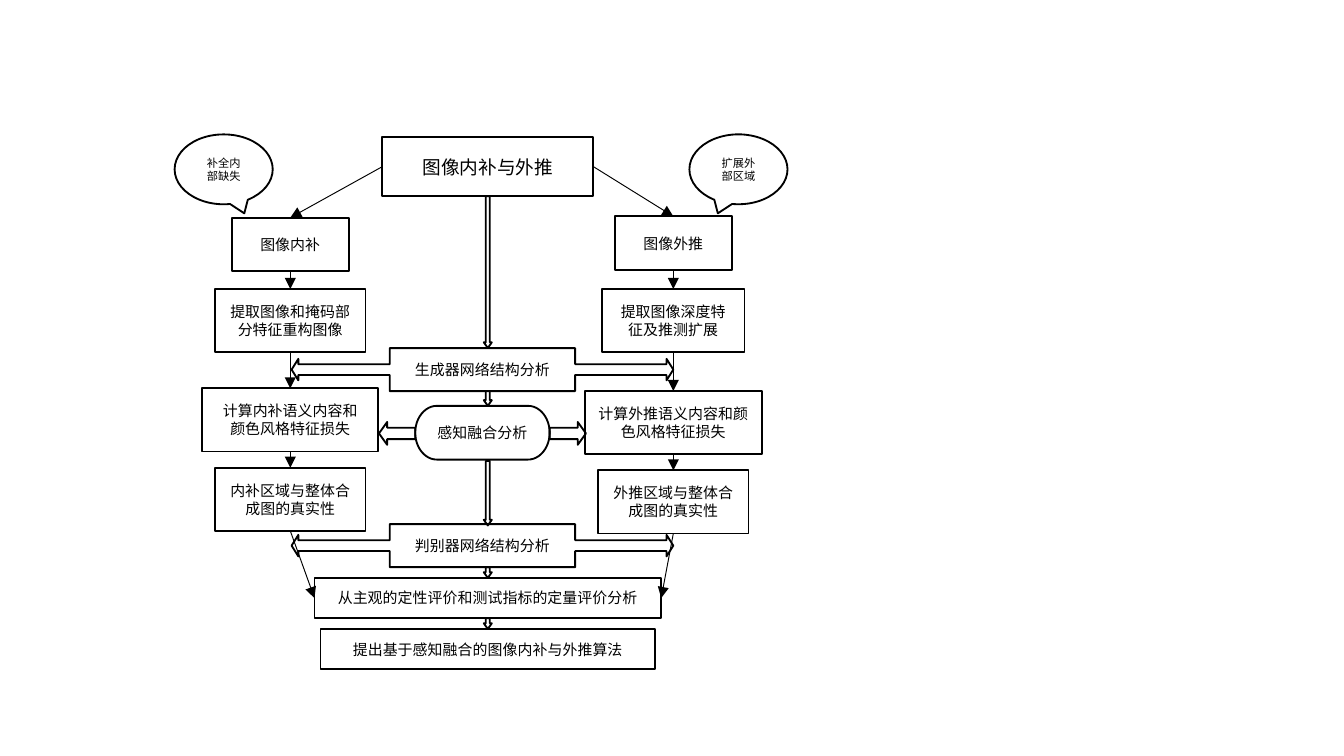
import pptx
import pptx.dml.color
import pptx.enum.shapes
import pptx.enum.text
import pptx.oxml.ns
import pptx.util
from lxml import etree
from pptx.util import Inches

FONT = "Noto Sans CJK SC"
INK = "000000"
LEFT, SPINE, HUB, RIGHT = 2.16, 3.63, 3.59, 5.01
STEP_HEIGHT = 0.47
PRESET = pptx.enum.shapes.MSO_SHAPE
qn = pptx.oxml.ns.qn


def color(hex_value):
    return pptx.dml.color.RGBColor.from_string(hex_value)


def outline(shape):
    shape.shadow.inherit = False
    shape.fill.background()
    shape.line.color.rgb = color(INK)
    shape.line.width = pptx.util.Pt(1)


def write(shape, text, size):
    frame = shape.text_frame
    frame.word_wrap = True
    frame.vertical_anchor = pptx.enum.text.MSO_ANCHOR.MIDDLE
    paragraph = frame.paragraphs[0]
    paragraph.text = text
    paragraph.alignment = pptx.enum.text.PP_ALIGN.CENTER
    font = paragraph.font
    font.name = FONT
    font.size = pptx.util.Pt(size)
    font.color.rgb = color(INK)
    defaults = paragraph._p.pPr.find(qn("a:defRPr"))
    etree.SubElement(defaults, qn("a:ea")).set("typeface", FONT)


def add_box(slide, text, center, top, width, height, size=8, preset=PRESET.RECTANGLE):
    box = slide.shapes.add_shape(
        preset, Inches(center - width / 2), Inches(top), Inches(width), Inches(height)
    )
    outline(box)
    write(box, text, size)
    return box


def add_callout(slide, text, left, tail_shift):
    width = 0.73
    callout = add_box(slide, text, left + width / 2, 1, width, 0.52, 6, PRESET.OVAL_CALLOUT)
    callout.adjustments[0] = tail_shift
    callout.adjustments[1] = 0.63


def add_hub(slide, text, middle):
    right_half = [
        (0.69, -0.16), (0.69, -0.04), (1.37, -0.04), (1.37, -0.08), (1.42, 0),
        (1.37, 0.08), (1.37, 0.04), (0.69, 0.04), (0.69, 0.16),
    ]
    left_half = [(-x, -y) for x, y in right_half]
    points = [(Inches(HUB + x), Inches(middle + y)) for x, y in right_half + left_half]
    builder = slide.shapes.build_freeform(*points[0])
    builder.add_line_segments(points[1:], close=True)
    hub = builder.convert_to_shape()
    outline(hub)
    write(hub, text, 8)


def add_block_arrow(slide, preset, left, top, width, height, head):
    arrow = slide.shapes.add_shape(
        preset, Inches(left), Inches(top), Inches(width), Inches(height)
    )
    outline(arrow)
    arrow.adjustments[0] = 0.5
    arrow.adjustments[1] = head


def connect(slide, source, source_side, target, target_side):
    connector = slide.shapes.add_connector(
        pptx.enum.shapes.MSO_CONNECTOR.STRAIGHT, 0, 0, 0, 0
    )
    connector.begin_connect(source, source_side)
    connector.end_connect(target, target_side)
    connector.line.color.rgb = color(INK)
    connector.line.width = pptx.util.Pt(0.5)
    line_properties = connector._element.spPr.find(qn("a:ln"))
    etree.SubElement(line_properties, qn("a:tailEnd")).set("type", "triangle")
    etree.SubElement(connector._element.spPr, qn("a:effectLst"))


def add_branch(slide, center, topic, topic_top, steps):
    boxes = [add_box(slide, topic, center, topic_top, 0.87, 0.4)]
    for text, top, width in steps:
        boxes.append(add_box(slide, text, center, top, width, STEP_HEIGHT))
    for upper, lower in zip(boxes, boxes[1:]):
        connect(slide, upper, 2, lower, 0)
    return boxes[0], boxes[-1]


def main():
    presentation = pptx.Presentation()
    presentation.slide_width = Inches(10)
    presentation.slide_height = Inches(10 * 9 / 16)
    slide = presentation.slides.add_slide(presentation.slide_layouts[6])

    subject = add_box(slide, "图像内补与外推", SPINE, 1.02, 1.57, 0.44, 10)
    add_callout(slide, "补全内部缺失", 1.3, 0.21)
    add_callout(slide, "扩展外部区域", 5.13, -0.21)

    inpainting = add_branch(slide, LEFT, "图像内补", 1.62, [
        ("提取图像和掩码部分特征重构图像", 2.15, 1.12),
        ("计算内补语义内容和颜色风格特征损失", 2.89, 1.31),
        ("内补区域与整体合成图的真实性", 3.48, 1.12),
    ])
    outpainting = add_branch(slide, RIGHT, "图像外推", 1.61, [
        ("提取图像深度特征及推测扩展", 2.15, 1.06),
        ("计算外推语义内容和颜色风格特征损失", 2.91, 1.32),
        ("外推区域与整体合成图的真实性", 3.5, 1.12),
    ])

    add_hub(slide, "生成器网络结构分析", 2.75)
    add_box(slide, "感知融合分析", HUB, 3.02, 1, 0.4, preset=PRESET.FLOWCHART_TERMINATOR)
    add_hub(slide, "判别器网络结构分析", 4.06)
    evaluation = add_box(
        slide, "从主观的定性评价和测试指标的定量评价分析", SPINE, 4.3, 2.58, 0.3
    )
    add_box(slide, "提出基于感知融合的图像内补与外推算法", SPINE, 4.68, 2.49, 0.3)

    for (topic, last_step), side in ((inpainting, 1), (outpainting, 3)):
        connect(slide, subject, side, topic, 0)
        connect(slide, last_step, 2, evaluation, side)

    for top, height in ((1.46, 1.13), (2.91, 0.11), (3.43, 0.48), (4.22, 0.08), (4.6, 0.08)):
        add_block_arrow(slide, PRESET.DOWN_ARROW, SPINE - 0.03, top, 0.06, height, 0.7)
    for preset, left in ((PRESET.LEFT_ARROW, 2.82), (PRESET.RIGHT_ARROW, 4.09)):
        add_block_arrow(slide, preset, left, 3.14, 0.27, 0.17, 0.36)

    presentation.save("out.pptx")


if __name__ == "__main__":
    main()
